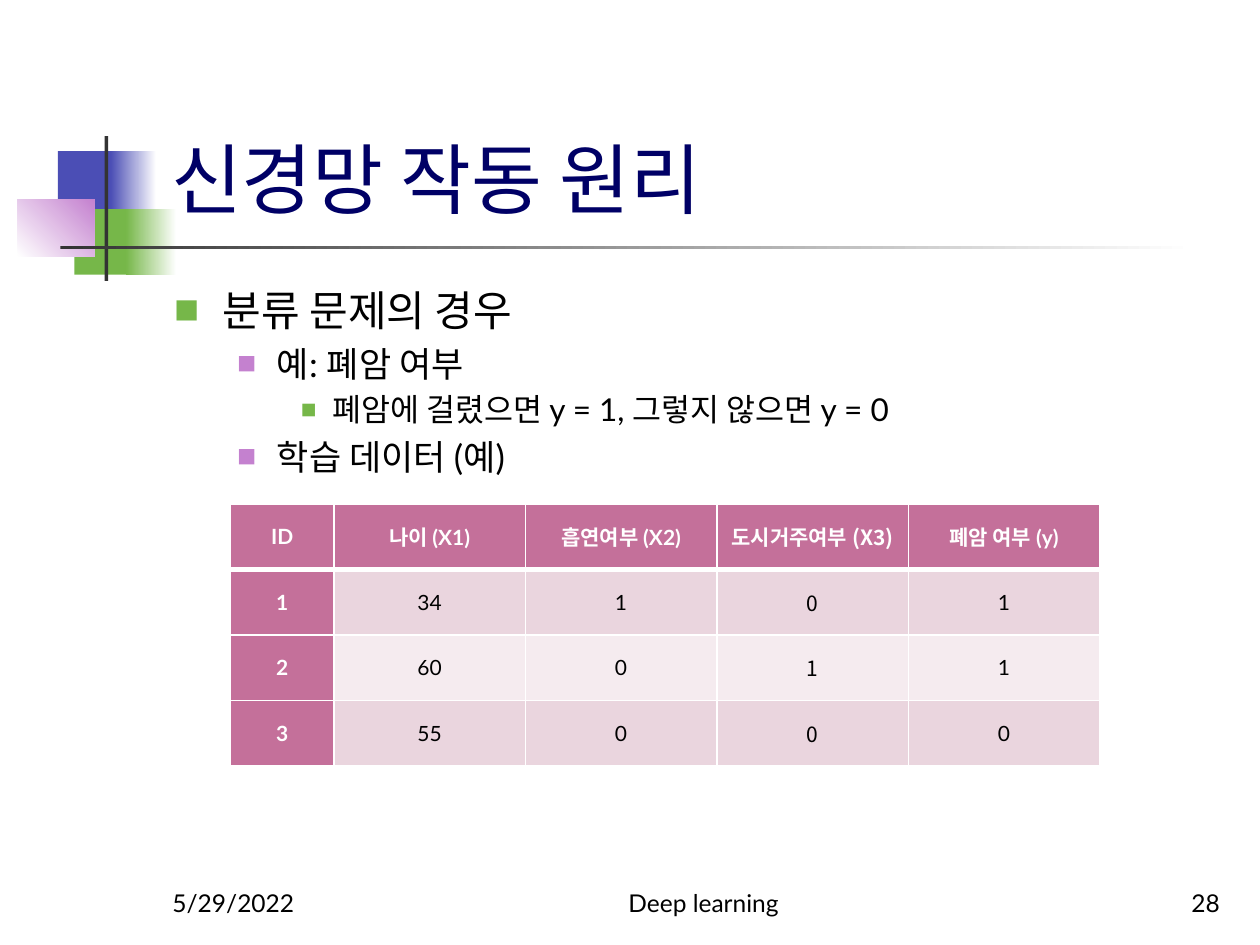
from lxml import etree
from pptx import Presentation, util as u
from pptx.dml.color import RGBColor
from pptx.enum import shapes, text
from pptx.oxml.ns import qn

LATIN, KOREAN = "Lato", "Noto Sans CJK KR"
BLUE, GREEN, PURPLE, GRAY = "4B4EB5", "76B749", "C481CF", "333333"
WHITE, BLACK, NAVY, ROSE = "FFFFFF", "000000", "000066", "C4709A"
BANDS = ["EAD5DE", "F5EBEF"]
LEFT, CENTER, RIGHT = text.PP_ALIGN.LEFT, text.PP_ALIGN.CENTER, text.PP_ALIGN.RIGHT
TOP, BOTTOM = text.MSO_ANCHOR.TOP, text.MSO_ANCHOR.BOTTOM

# Left, top, width, height, colours (two make a gradient), gradient angle
ORNAMENTS = [
    (0.46, 1.2, 0.48, 0.52, [BLUE], 0),
    (0.88, 1.2, 0.36, 0.52, [BLUE, WHITE], 0),
    (0.59, 1.66, 0.46, 0.52, [GREEN], 0),
    (1, 1.66, 0.4, 0.52, [GREEN, WHITE], 0),
    (0.14, 1.58, 0.61, 0.46, [WHITE, PURPLE], 45),
    (0.83, 1.08, 0.03, 1.15, [GRAY], 0),
    (0.48, 1.95, 9, 0.03, [GRAY, WHITE], 0),
]
TITLE = "신경망 작동 원리"
BULLETS = [
    (0, "분류 문제의 경우"),
    (1, "예: 폐암 여부"),
    (2, "폐암에 걸렸으면 y = 1, 그렇지 않으면 y = 0"),
    (1, "학습 데이터 (예)"),
]
# Text size, left margin, hanging indent, bullet colour, bullet size in percent
LEVELS = [
    (24, 0.38, 0.38, GREEN, 60),
    (20, 0.81, 0.31, PURPLE, 55),
    (18, 1.25, 0.25, GREEN, 50),
]
FOOTERS = [
    (1.27, 2.08, "5/29/2022", LEFT),
    (4, 3.17, "Deep learning", CENTER),
    (7.7, 2.08, "28", RIGHT),
]
TABLE = [
    ["ID", "나이 (X1)", "흡연여부 (X2)", "도시거주여부 (X3)", "폐암 여부 (y)"],
    ["1", "34", "1", "0", "1"],
    ["2", "60", "0", "1", "1"],
    ["3", "55", "0", "0", "0"],
]
COLUMN_WIDTHS = [0.82] + [1.52] * 4
ROW_HEIGHT = 0.52
KOREAN_COLUMN = 3


def rgb(color):
    return RGBColor.from_string(color)


def style(para, size, color, bold=False, latin=LATIN):
    for span in para.runs:
        span.font.size = u.Pt(size)
        span.font.bold = bold
        span.font.name = latin
        span.font.color.rgb = rgb(color)
        etree.SubElement(span.font._element, qn("a:ea"), typeface=KOREAN)


def add_text(page, left, top, width, height, anchor):
    box = page.shapes.add_textbox(*map(u.Inches, (left, top, width, height)))
    frame = box.text_frame
    frame.word_wrap = True
    frame.vertical_anchor = anchor
    return frame


def add_bullet(para, margin, hanging, color, percent):
    props = para._p.get_or_add_pPr()
    props.set("marL", str(u.Inches(margin)))
    props.set("indent", str(-u.Inches(hanging)))
    bullet_color = etree.SubElement(props, qn("a:buClr"))
    etree.SubElement(bullet_color, qn("a:srgbClr"), val=color)
    etree.SubElement(props, qn("a:buSzPct"), val=str(percent * 1000))
    etree.SubElement(props, qn("a:buFont"), typeface=KOREAN)
    etree.SubElement(props, qn("a:buChar"), char="■")


def add_border(cell, side, points):
    line = etree.SubElement(cell._tc.get_or_add_tcPr(), qn("a:ln" + side), w=str(u.Pt(points)))
    fill = etree.SubElement(line, qn("a:solidFill"))
    etree.SubElement(fill, qn("a:srgbClr"), val=WHITE)


def add_ornaments(page):
    for left, top, width, height, colors, angle in ORNAMENTS:
        block = page.shapes.add_shape(
            shapes.MSO_SHAPE.RECTANGLE, *map(u.Inches, (left, top, width, height)))
        block.shadow.inherit = False
        block.line.fill.background()
        if len(colors) == 1:
            block.fill.solid()
            block.fill.fore_color.rgb = rgb(colors[0])
        else:
            block.fill.gradient()
            block.fill.gradient_angle = angle
            for stop, color in zip(block.fill.gradient_stops, colors):
                stop.color.rgb = rgb(color)


def add_bullets(page):
    frame = add_text(page, 1.29, 2.21, 8.5, 4.5, TOP)
    for index, (level, words) in enumerate(BULLETS):
        para = frame.add_paragraph() if index else frame.paragraphs[0]
        size, *bullet = LEVELS[level]
        para.text = words
        para.level = level
        if index:
            para.space_before = u.Pt(size * 0.2)
        add_bullet(para, *bullet)
        style(para, size, BLACK)


def add_data_table(page):
    rows, columns = len(TABLE), len(COLUMN_WIDTHS)
    table = page.shapes.add_table(
        rows, columns, u.Inches(1.83), u.Inches(4),
        u.Inches(sum(COLUMN_WIDTHS)), u.Inches(ROW_HEIGHT * rows)).table
    for column, width in zip(table.columns, COLUMN_WIDTHS):
        column.width = u.Inches(width)
    for r, values in enumerate(TABLE):
        table.rows[r].height = u.Inches(ROW_HEIGHT)
        for c, value in enumerate(values):
            cell = table.cell(r, c)
            heading = r == 0 or c == 0
            cell.margin_left = cell.margin_right = u.Inches(0.07)
            cell.margin_top = cell.margin_bottom = 0
            cell.vertical_anchor = text.MSO_ANCHOR.MIDDLE
            # The rule under the header row is thicker
            for side in "LRTB":
                add_border(cell, side, 3 if (r, side) in [(0, "B"), (1, "T")] else 1)
            cell.fill.solid()
            cell.fill.fore_color.rgb = rgb(ROSE if heading else BANDS[(r - 1) % 2])
            para = cell.text_frame.paragraphs[0]
            para.text = value
            para.alignment = CENTER
            style(para, 12, WHITE if heading else BLACK, heading,
                  KOREAN if c == KOREAN_COLUMN else LATIN)


def main():
    deck = Presentation()
    deck.slide_width, deck.slide_height = u.Inches(10), u.Inches(7.5)
    page = deck.slides.add_slide(deck.slide_layouts[6])
    add_ornaments(page)

    # Title
    title = add_text(page, 1.26, 0.23, 8.52, 1.6, BOTTOM)
    title.text = TITLE
    style(title.paragraphs[0], 44, NAVY)

    add_bullets(page)

    # Footer line
    for left, width, words, alignment in FOOTERS:
        footer = add_text(page, left, 6.83, width, 0.5, BOTTOM)
        footer.text = words
        footer.paragraphs[0].alignment = alignment
        style(footer.paragraphs[0], 14, BLACK)

    add_data_table(page)
    deck.save("out.pptx")


if __name__ == "__main__":
    main()
